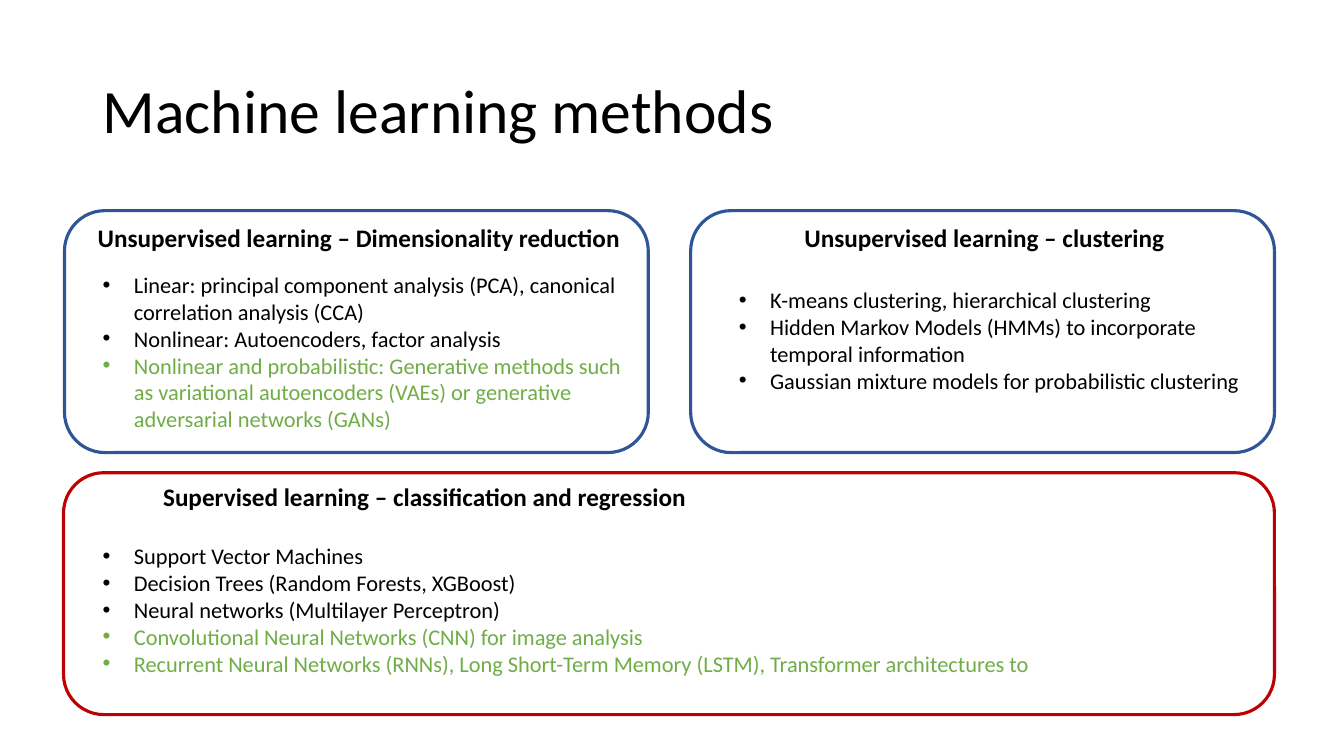
from lxml import etree
from pptx import Presentation
from pptx import util as u
from pptx.dml.color import RGBColor
from pptx.enum import shapes, text
from pptx.oxml.ns import qn

BLACK = RGBColor(0x00, 0x00, 0x00)
WHITE = RGBColor(0xFF, 0xFF, 0xFF)
BLUE = RGBColor(0x2F, 0x55, 0x97)
RED = RGBColor(0xC0, 0x00, 0x00)
GREEN = RGBColor(0x70, 0xAD, 0x47)


class Deck:
    """Slide style; every box is (left, top, width, height) in percent of the slide."""

    TITLE = {"size": u.Pt(44), "bold": False}
    HEADING = {"size": u.Pt(18), "bold": True}
    BODY = {"size": u.Pt(16), "bold": False}
    INDENT = u.Inches(0.31)

    def __init__(self):
        self.prs = Presentation()
        self.prs.slide_width, self.prs.slide_height = u.Inches(13.33), u.Inches(7.5)
        self.s = self.prs.slides.add_slide(self.prs.slide_layouts[5])
        bg = self.s.background.fill
        bg.solid()
        bg.fore_color.rgb = WHITE

    def place(self, box):
        sides = (self.prs.slide_width, self.prs.slide_height) * 2
        return [u.Emu(round(share * side / 100)) for share, side in zip(box, sides)]

    def add_words(self, p, words, style, color=BLACK):
        r = p.add_run()
        r.text = words
        for name, value in {"name": "Calibri", **style}.items():
            setattr(r.font, name, value)
        r.font.color.rgb = color

    def title(self, box, words):
        sp = self.s.shapes.title
        sp.left, sp.top, sp.width, sp.height = self.place(box)
        tf = sp.text_frame
        tf.auto_size = text.MSO_AUTO_SIZE.NONE
        tf.vertical_anchor = text.MSO_ANCHOR.MIDDLE
        p = tf.paragraphs[0]
        p.alignment, p.line_spacing = text.PP_ALIGN.LEFT, 0.9
        self.add_words(p, words, self.TITLE)

    def text_frame(self, box, wrap):
        tf = self.s.shapes.add_textbox(*self.place(box)).text_frame
        tf.word_wrap = wrap
        tf.auto_size = text.MSO_AUTO_SIZE.SHAPE_TO_FIT_TEXT
        return tf

    def heading(self, box, words):
        tf = self.text_frame(box, False)
        self.add_words(tf.paragraphs[0], words, self.HEADING)

    def frame(self, box, color):
        sp = self.s.shapes.add_shape(shapes.MSO_SHAPE.ROUNDED_RECTANGLE, *self.place(box))
        sp.shadow.inherit = False
        sp.fill.background()
        sp.line.color.rgb = color
        sp.line.width = u.Pt(2.25)

    def bullets(self, box, items):
        """Add a bulleted list of (words, color) items."""
        tf = self.text_frame(box, True)
        for i, (words, color) in enumerate(items):
            p = tf.add_paragraph() if i else tf.paragraphs[0]
            pPr = p._p.get_or_add_pPr()
            pPr.set("marL", str(self.INDENT))
            pPr.set("indent", str(-self.INDENT))
            etree.SubElement(pPr, qn("a:buFont"), typeface="Arial")
            etree.SubElement(pPr, qn("a:buChar"), char="•")
            self.add_words(p, words, self.BODY, color)


PANELS = [
    {
        "frame": ((4.8, 27.87, 43.44, 32), BLUE),
        "heading": ((6.53, 28.8, 40.66, 5.33),
                    "Unsupervised learning – Dimensionality reduction"),
        "bullets": ((6.9, 35.2, 40.66, 22.93), [
            ("Linear: principal component analysis (PCA), canonical "
             "correlation analysis (CCA)", BLACK),
            ("Nonlinear: Autoencoders, factor analysis", BLACK),
            ("Nonlinear and probabilistic: Generative methods such as variational "
             "autoencoders (VAEs) or generative adversarial networks (GANs)", GREEN),
        ]),
    },
    {
        "frame": ((51.39, 27.87, 43.44, 32), BLUE),
        "heading": ((59.11, 28.8, 28.51, 5.33), "Unsupervised learning – clustering"),
        "bullets": ((54.24, 37.2, 40.66, 15.73), [
            ("K-means clustering, hierarchical clustering", BLACK),
            ("Hidden Markov Models (HMMs) to incorporate temporal information", BLACK),
            ("Gaussian mixture models for probabilistic clustering", BLACK),
        ]),
    },
    {
        "frame": ((4.73, 62.53, 90.1, 32), RED),
        "heading": ((11.4, 63.07, 40.74, 5.33),
                    "Supervised learning – classification and regression"),
        "bullets": ((6.9, 71.07, 83.12, 19.33), [
            ("Support Vector Machines", BLACK),
            ("Decision Trees (Random Forests, XGBoost)", BLACK),
            ("Neural networks (Multilayer Perceptron)", BLACK),
            ("Convolutional Neural Networks (CNN) for image analysis", GREEN),
            ("Recurrent Neural Networks (RNNs), Long Short-Term Memory (LSTM), "
             "Transformer architectures to", GREEN),
        ]),
    },
]


def main():
    deck = Deck()
    deck.title((6.9, 5.33, 86.27, 19.33), "Machine learning methods")
    for panel in PANELS:
        deck.heading(*panel["heading"])
        deck.frame(*panel["frame"])
        deck.bullets(*panel["bullets"])
    deck.prs.save("out.pptx")


if __name__ == "__main__":
    main()
